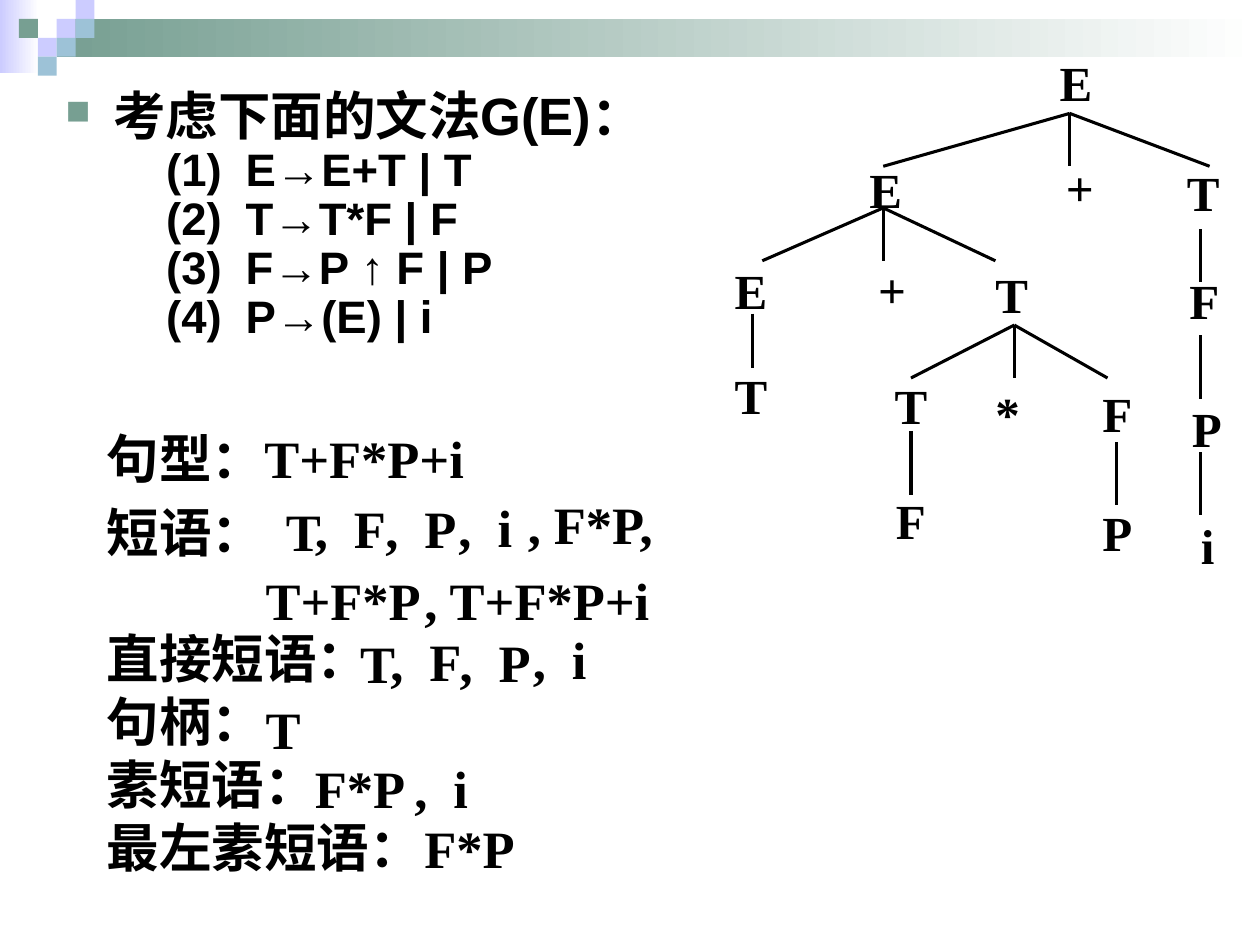
import collections

import pptx
import pptx.dml.color
import pptx.enum.shapes
import pptx.enum.text
import pptx.oxml
import pptx.oxml.ns
import pptx.util

RGB = pptx.dml.color.RGBColor
BLACK = RGB(0x00, 0x00, 0x00)
WHITE = RGB(0xFF, 0xFF, 0xFF)
LAVENDER = RGB(0xCC, 0xCC, 0xFF)
SKY = RGB(0x9D, 0xC2, 0xD7)
SAGE = RGB(0x77, 0x9F, 0x92)
SERIF, SANS, HAN = "Times New Roman", "Arial", "Noto Sans CJK SC"

WIDTH, HEIGHT = pptx.util.Inches(10), pptx.util.Inches(7.5)
COLUMN, ROW = WIDTH / 20, HEIGHT / 15

Box = collections.namedtuple("Box", "column row columns rows")


def within(box, column, row, columns, rows):
    return Box(box.column + column, box.row + row, columns, rows)


def emu(box):
    return [round(length * unit) for length, unit in zip(box, (COLUMN, ROW) * 2)]


def add_element(parent, tag, **attributes):
    element = pptx.oxml.parse_xml(f"<a:{tag} {pptx.oxml.ns.nsdecls('a')}/>")
    for name, value in attributes.items():
        element.set(name, str(value))
    parent.append(element)
    return element


def style_run(run, size, latin):
    run.font.size = pptx.util.Pt(size)
    run.font.bold = True
    run.font.color.rgb = BLACK
    run.font.name = latin
    add_element(run._r.get_or_add_rPr(), "ea", typeface=HAN)


def indent(paragraph, margin, hanging):
    properties = paragraph._p.get_or_add_pPr()
    properties.set("marL", str(round(margin * COLUMN)))
    properties.set("indent", str(round(-hanging * COLUMN)))
    return properties


def add_text(slide, box, lines, size, font=SERIF, inset=True, wrap=True):
    frame = slide.shapes.add_textbox(*emu(box)).text_frame
    frame.word_wrap = wrap
    if not inset:
        frame.margin_left = frame.margin_right = 0
        frame.margin_top = frame.margin_bottom = 0
    frame.text = "\n".join(lines)
    for paragraph in frame.paragraphs:
        for run in paragraph.runs:
            style_run(run, size, font)
    return frame


def add_block(slide, box, colour, fades=False):
    rectangle = pptx.enum.shapes.MSO_SHAPE.RECTANGLE
    block = slide.shapes.add_shape(rectangle, *emu(box))
    block.shadow.inherit = False
    block.line.fill.background()
    if fades:
        block.fill.gradient()
        block.fill.gradient_angle = 180
        for stop, tint, position in zip(block.fill.gradient_stops, (WHITE, colour), (0, 1)):
            stop.color.rgb = tint
            stop.position = position
    else:
        block.fill.solid()
        block.fill.fore_color.rgb = colour


def add_header(slide, box):
    side = box.rows / 4
    add_block(slide, within(box, 0, 0, 0.62, 1.16), LAVENDER, fades=True)
    band = within(box, 3 * side, side, box.columns - 3 * side, 2 * side)
    add_block(slide, band, SAGE, fades=True)
    mosaic = [
        (3, 1, LAVENDER), (4, 0, LAVENDER), (4, 1, SKY), (2, 2, LAVENDER),
        (1, 1, SAGE), (3, 2, SKY), (2, 3, SKY),
    ]
    for column, row, colour in mosaic:
        add_block(slide, within(box, column * side, row * side, side, side), colour)


def add_grammar(slide, box):
    heading = "考虑下面的文法G(E)："
    rules = ["E→E+T | T", "T→T*F | F", "F→P ↑ F | P", "P→(E) | i"]
    numbered = [f"({number})\t{rule}" for number, rule in enumerate(rules, 1)]
    frame = add_text(slide, box, [heading] + numbered, 26, SANS)
    for paragraph in frame.paragraphs:
        paragraph.line_spacing = 0.9
        indent(paragraph, 2.86, 1.26)
    title = frame.paragraphs[0]
    properties = indent(title, 0.76, 0.76)
    add_element(add_element(properties, "buClr"), "srgbClr", val=SAGE)
    add_element(properties, "buSzPct", val=65000)
    add_element(properties, "buChar", char="■")
    title.runs[0].font.size = pptx.util.Pt(30)


def add_branch(slide, box, start, end):
    ends = [emu(within(box, *point, 0, 0))[:2] for point in (start, end)]
    straight = pptx.enum.shapes.MSO_CONNECTOR.STRAIGHT
    branch = slide.shapes.add_connector(straight, *ends[0], *ends[1])
    branch.line.color.rgb = BLACK
    branch.line.width = pptx.util.Pt(1.75)
    add_element(branch._element.spPr, "effectLst")


def add_syntax_tree(slide, box):
    symbol_widths = {"E": 0.52, "T": 0.52, "F": 0.48, "P": 0.48, "+": 0.44, "*": 0.38, "i": 0.22}
    nodes = [
        ("E", 5.16, 0), ("E", 2.14, 1.7), ("+", 5.26, 1.66), ("T", 7.18, 1.74),
        ("E", 0, 3.3), ("+", 2.28, 3.28), ("T", 4.14, 3.36), ("F", 7.22, 3.46),
        ("T", 0, 4.96), ("T", 2.54, 5.12), ("*", 4.14, 5.24), ("F", 5.84, 5.24),
        ("P", 7.26, 5.48), ("F", 2.56, 6.94), ("P", 5.84, 7.14), ("i", 7.4, 7.34),
    ]
    for symbol, column, row in nodes:
        cell = within(box, column, row, symbol_widths[symbol], 0.94)
        add_text(slide, cell, [symbol], 28, inset=False, wrap=False)
    forks = [
        (5.32, 0.96, 1.8, (2.36, 5.32, 7.54)),
        (2.36, 2.46, 3.3, (0.44, 2.36, 4.14)),
        (4.44, 4.32, 5.16, (2.8, 4.44, 5.92)),
        (0.28, 4.14, 5, (0.28,)),
        (2.8, 6, 7.02, (2.8,)),
        (6.06, 6.18, 7.18, (6.06,)),
        (7.4, 2.8, 3.64, (7.4,)),
        (7.4, 4.48, 5.5, (7.4,)),
        (7.4, 6.34, 7.34, (7.4,)),
    ]
    for column, top, bottom, children in forks:
        for child in children:
            add_branch(slide, box, (column, top), (child, bottom))


def add_answers(slide, box):
    sentence = add_text(slide, within(box, 0, 0, box.columns, 1.34), ["句型："], 30, HAN)
    form = sentence.paragraphs[0].add_run()
    form.text = "T+F*P+i"
    style_run(form, 30, SERIF)

    labels = ["短语：", "直接短语：", "句柄：", "素短语：", "最左素短语："]
    label_frame = add_text(slide, within(box, 0, 1.18, 5.5, 5.5), labels, 30)
    label_frame.paragraphs[1].space_before = pptx.util.Pt(36)

    phrase_widths = {
        "T": 0.96, "F*P": 2, "T+F*P": 2.96, ", T+F*P+i": 4.1, ", F*P,": 2.56,
        ",\tF": 1.6, ",\tP": 1.6, ",\ti": 1.42,
    }
    phrases = [
        ("T", 2.84, 1.16), (",\tF", 3.3, 1.12), (",\tP", 4.42, 1.12),
        (",\ti", 5.58, 1.1), (", F*P,", 6.68, 1.06),
        ("T+F*P", 2.52, 2.26), (", T+F*P+i", 5.04, 2.26),
        ("T", 4.02, 3.26), (",\tF", 4.5, 3.22), (",\tP", 5.6, 3.24), (",\ti", 6.76, 3.2),
        ("T", 2.52, 4.3),
        ("F*P", 3.3, 5.24), (",\ti", 4.88, 5.24),
        ("F*P", 5.04, 6.2),
    ]
    for phrase, column, row in phrases:
        cell = within(box, column, row, phrase_widths[phrase], 1.2)
        frame = add_text(slide, cell, [phrase], 30)
        if "\t" in phrase:
            indent(frame.paragraphs[0], 0.62, 0.62)


def main():
    deck = pptx.Presentation()
    deck.slide_width, deck.slide_height = WIDTH, HEIGHT
    slide = deck.slides.add_slide(deck.slide_layouts[6])
    add_header(slide, Box(0, 0, 20, 1.2))
    add_grammar(slide, Box(0.84, 1.34, 18.16, 5.16))
    add_syntax_tree(slide, Box(11.66, 0.84, 7.74, 8.28))
    add_answers(slide, Box(1.5, 6.66, 9.84, 7.4))
    deck.save("out.pptx")


if __name__ == "__main__":
    main()
